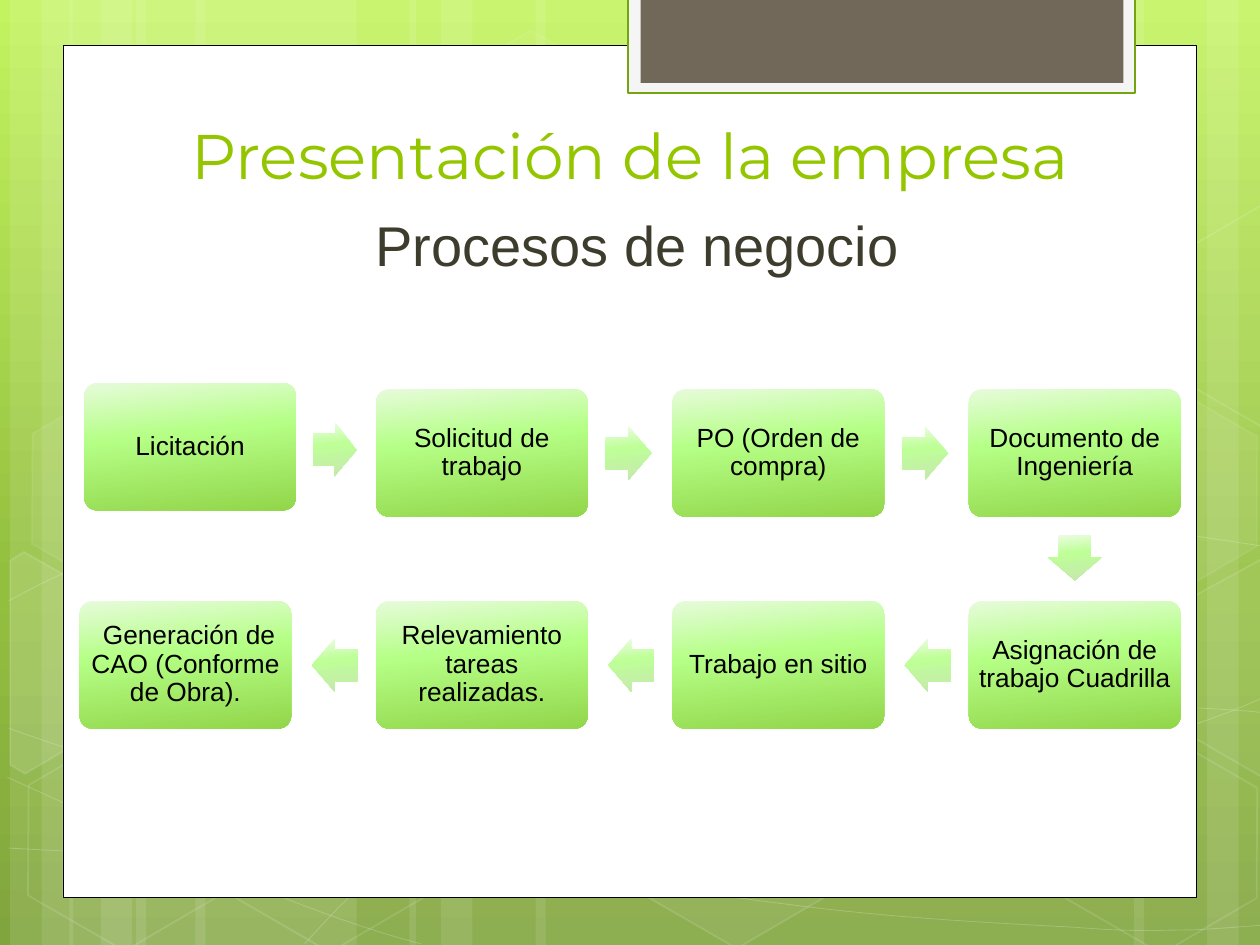
from lxml.etree import SubElement
from pptx import Presentation
from pptx.dml.color import RGBColor
from pptx.enum.shapes import MSO_SHAPE as SHAPE
from pptx.enum.text import MSO_ANCHOR as ANCHOR, MSO_AUTO_SIZE as AUTO, PP_ALIGN as ALIGN
from pptx.oxml.ns import qn
from pptx.util import Pt

WHITE = RGBColor(0xFF, 0xFF, 0xFF)
BLACK = RGBColor(0, 0, 0)
TAB_FILL = RGBColor(0xF5, 0xF5, 0xF5)
TAB_LINE = RGBColor(0x74, 0xA5, 0x10)
BROWN = RGBColor(0x71, 0x68, 0x5A)
LIME = RGBColor(0x94, 0xC6, 0x00)
OLIVE = RGBColor(0x3E, 0x3D, 0x2D)
BACK_STOPS = [(0, RGBColor(0xC3, 0xF3, 0x5F)), (62, RGBColor(0x93, 0xBF, 0x3F)),
              (100, RGBColor(0x81, 0xA5, 0x3E))]
BOX_STOPS = [(0, RGBColor(0xE7, 0xFB, 0xDB)), (40, RGBColor(0xB5, 0xFF, 0x86)),
             (100, RGBColor(0x92, 0xD6, 0x4A))]
ARROW_STOPS = [(0, RGBColor(0xEF, 0xFC, 0xE6)), (40, RGBColor(0xBE, 0xFF, 0x97)),
               (100, RGBColor(0xC7, 0xE7, 0xB0))]

BARS = [(77.8, 126), (5.8, 36), (23.8, 59.8), (111.6, 126), (39.6, 36), (57.6, 59.8),
        (527.8, 126), (689.8, 36), (648, 59.8), (306, 221.8), (234, 36), (252, 59.8)]
CURVES = [
    [(5, 484.6), (43.9, 486.7), (82.8, 488.9), (136.8, 488.2), (190.8, 487.4), (257.8, 486),
     (329.8, 478.8), (401.8, 471.6), (504, 457.9), (570.2, 444.2), (635.8, 430.6),
     (703.4, 409), (725, 396.7)],
    [(5, 343.4), (25.9, 331.9), (46.8, 321.1), (87.1, 310.3), (128.2, 299.5), (186.5, 283.7),
     (249.8, 278.6), (313.9, 273.6), (391.7, 272.9), (470.9, 278.6), (550.1, 284.4),
     (681.8, 306.7), (725, 312.5)],
    [(4.3, 444.2), (91.4, 483.8), (177.8, 523.4), (240.5, 539.3)],
    [(5, 416.2), (27.4, 424.1), (50.4, 432), (92.2, 443.5), (133.9, 454.3), (196.6, 472.3),
     (257, 484.6), (316.8, 496.8), (392.4, 509.8), (452.2, 517), (511.9, 524.9), (576, 527.8),
     (614.2, 529.9), (651.6, 532.8), (661.7, 531.4), (680.4, 531.4), (699.1, 530.6),
     (712.1, 529.2), (725, 528.5)],
    [(174.2, 539.3), (187.2, 524.9), (200.2, 510.5), (217.4, 497.5), (234.7, 484.6),
     (259.2, 470.2), (279.4, 460.1), (299.5, 450), (311.8, 445.7), (338.4, 438.5),
     (364.3, 431.3), (412.6, 421.2), (437.8, 416.2), (463.7, 411.1), (467.3, 411.1),
     (489.6, 409.7), (511.9, 407.5), (547.2, 405.4), (571.7, 404.6), (596.9, 403.9),
     (637.9, 404.6), (637.9, 404.6), (654, 404.6), (670, 404.6), (686.2, 404.6),
     (699.1, 405.4), (711.4, 406.1), (717.8, 406.8), (724.3, 407.5), (722.2, 406.8),
     (724.3, 407.5)],
]
HEXAGONS = [(240.5, 25.9, 4, 8), (357.8, 424.1, 6, 12), (7.9, 425.5, 0, 12),
            (10.1, 224.6, 7, 8), (125.3, 426.2, 0, 12), (542.2, 326.2, 10, 12),
            (600.5, 427, 0, 12), (600.5, 226.1, 7, 8)]
CUT_HEXAGONS = [
    ([(5.8, 320.4), (13.7, 315.4), (69.1, 347), (68.4, 410.4), (14.4, 442.1), (5.8, 437)], 10),
    ([(666.7, 349.2), (720.7, 319.7), (726.5, 321.1), (726.5, 441.4), (721.4, 444.2),
      (666.7, 412.6)], 4),
    ([(666.7, 149), (720.7, 117.4), (727.2, 121), (726.5, 241.2), (721.4, 244.1),
      (666.7, 212.4)], 0),
]

COL_X, COL_STEP = 45.5, 169.4
ROW_Y = 222.5, 343.6
BOX_W, BOX_H = 120.9, 72.7
ARROW_W, ARROW_H = 25.9, 30.2
TOP_STEPS = ["Licitación", "Solicitud de trabajo", "PO (Orden de compra)",
             "Documento de Ingeniería"]
BOTTOM_STEPS = [" Generación de CAO (Conforme de Obra).", "Relevamiento tareas realizadas.",
                "Trabajo en sitio", "Asignación de trabajo Cuadrilla"]


def set_alpha(color_parent, percent):
    color = next(color_parent.iter(qn("a:srgbClr")))
    SubElement(color, qn("a:alpha"), val=str(percent * 1000))


def set_gradient(fill, element, stops, angle):
    fill.gradient()
    grad = next(element.iter(qn("a:gradFill")))
    grad.set("rotWithShape", "0")
    grad.find(qn("a:lin")).set("ang", str(angle * 60000))
    stop_list = grad.find(qn("a:gsLst"))
    stop_list.clear()
    for pos, color in stops:
        gs = SubElement(stop_list, qn("a:gs"), pos=str(pos * 1000))
        SubElement(gs, qn("a:srgbClr"), val=str(color))


def paint(sp, fill=None, line=None, width=1, fill_alpha=100, line_alpha=100):
    sp.shadow.inherit = False
    if fill is None or fill_alpha == 0:
        sp.fill.background()
    else:
        sp.fill.solid()
        sp.fill.fore_color.rgb = fill
        if fill_alpha < 100:
            set_alpha(sp.element.spPr.find(qn("a:solidFill")), fill_alpha)
    if line is None:
        sp.line.fill.background()
    else:
        sp.line.color.rgb = line
        sp.line.width = Pt(width)
        if line_alpha < 100:
            set_alpha(sp.element.spPr.find(qn("a:ln")), line_alpha)


def add_preset(s, kind, x, y, w, h, **style):
    sp = s.shapes.add_shape(kind, Pt(x), Pt(y), Pt(w), Pt(h))
    paint(sp, **style)
    return sp


def add_outline(s, points, close, **style):
    points = [(Pt(x), Pt(y)) for x, y in points]
    builder = s.shapes.build_freeform(*points[0])
    builder.add_line_segments(points[1:], close=close)
    sp = builder.convert_to_shape()
    paint(sp, **style)
    return sp


def add_curve(s, knots, **style):
    sp = add_outline(s, knots, False, **style)
    outline = next(sp.element.iter(qn("a:lnTo"))).getparent()
    segments = outline.findall(qn("a:lnTo"))
    for i in range(0, len(segments), 3):
        curve = SubElement(outline, qn("a:cubicBezTo"))
        for segment in segments[i:i + 3]:
            curve.append(segment[0])
            outline.remove(segment)


def add_backdrop(s):
    set_gradient(s.background.fill, s.element, BACK_STOPS, 90)
    for x, w in BARS:
        add_preset(s, SHAPE.RECTANGLE, x, 0, w, 540, fill=WHITE, fill_alpha=10)
    for knots in CURVES:
        add_curve(s, knots, line=WHITE, width=0.5, line_alpha=20)
    for x, y, fill_alpha, line_alpha in HEXAGONS:
        sp = add_preset(s, SHAPE.HEXAGON, x, y, 126, 109.4, fill=WHITE, line=WHITE,
                        fill_alpha=fill_alpha, line_alpha=line_alpha)
        sp.adjustments[0] = 0.285
        sp.rotation = 30
    for points, fill_alpha in CUT_HEXAGONS:
        add_outline(s, points, True, fill=WHITE, line=WHITE,
                    fill_alpha=fill_alpha, line_alpha=12)
    add_preset(s, SHAPE.RECTANGLE, 36, 26, 648, 487, fill=WHITE, line=BLACK, width=0.5)
    add_preset(s, SHAPE.RECTANGLE, 359, -1.4, 289.6, 54.6, fill=TAB_FILL, line=TAB_LINE,
               width=1.25)
    add_preset(s, SHAPE.RECTANGLE, 366, -1.4, 276, 48.8, fill=BROWN)


def set_text(tf, text, font, size, color):
    tf.text = text
    tf.word_wrap = True
    p = tf.paragraphs[0]
    p.alignment = ALIGN.CENTER
    p.font.name = font
    p.font.size = Pt(size)
    p.font.color.rgb = color
    return p


def fill_placeholder(s, sp, box, anchor, text, font, size, color):
    sp.left, sp.top, sp.width, sp.height = map(Pt, box)
    s.shapes.element.append(sp.element)
    sp.text_frame.auto_size = AUTO.NONE
    sp.text_frame.vertical_anchor = anchor
    return set_text(sp.text_frame, text, font, size, color)


def add_step(s, x, y, text):
    sp = add_preset(s, SHAPE.ROUNDED_RECTANGLE, x, y, BOX_W, BOX_H)
    sp.adjustments[0] = 0.1
    set_gradient(sp.fill, sp.element.spPr, BOX_STOPS, 84)
    tf = sp.text_frame
    tf.margin_left = tf.margin_right = tf.margin_top = tf.margin_bottom = Pt(2)
    tf.vertical_anchor = ANCHOR.MIDDLE
    set_text(tf, text, "Arial", 15, BLACK).line_spacing = 0.9


def add_arrow(s, x, y, rotation=0, w=ARROW_W):
    sp = add_preset(s, SHAPE.RIGHT_ARROW, x, y, w, ARROW_H)
    sp.adjustments[0] = 0.6
    sp.rotation = rotation
    set_gradient(sp.fill, sp.element.spPr, ARROW_STOPS, 84)


def add_process(s):
    columns = [COL_X + i * COL_STEP for i in range(4)]
    top, bottom = ROW_Y
    add_step(s, columns[0] + 2.7, top - 3.6, TOP_STEPS[0])
    add_arrow(s, 179.2, 241.9, 1.3, 24.5)
    for x, text in zip(columns[1:], TOP_STEPS[1:]):
        add_step(s, x, top, text)
    for x in columns[1:3]:
        add_arrow(s, x + 131.4, top + 21.4)
    add_arrow(s, columns[3] + (BOX_W - ARROW_W) / 2, 303.6, 90)
    for x, text in zip(columns, BOTTOM_STEPS):
        add_step(s, x, bottom, text)
    for x in columns[:3]:
        add_arrow(s, x + 132.8, bottom + 21.4, 180)


def main():
    prs = Presentation()
    prs.slide_width, prs.slide_height = Pt(720), Pt(540)
    s = prs.slides.add_slide(prs.slide_layouts[1])
    add_backdrop(s)
    fill_placeholder(s, s.shapes.title, (59.6, 65.8, 601.2, 47.5), ANCHOR.BOTTOM,
                     "Presentación de la empresa", "Montserrat", 36, LIME)
    p = fill_placeholder(s, s.placeholders[1], (93.2, 116.6, 533.5, 53.3), ANCHOR.TOP,
                         "Procesos de negocio", "Arial", 32, OLIVE)
    pPr = p._p.get_or_add_pPr()
    pPr.set("marL", str(Pt(8.6)))
    pPr.set("indent", "0")
    pPr.insert(0, pPr.makeelement(qn("a:buNone"), {}))
    add_process(s)
    prs.save("out.pptx")


if __name__ == "__main__":
    main()
